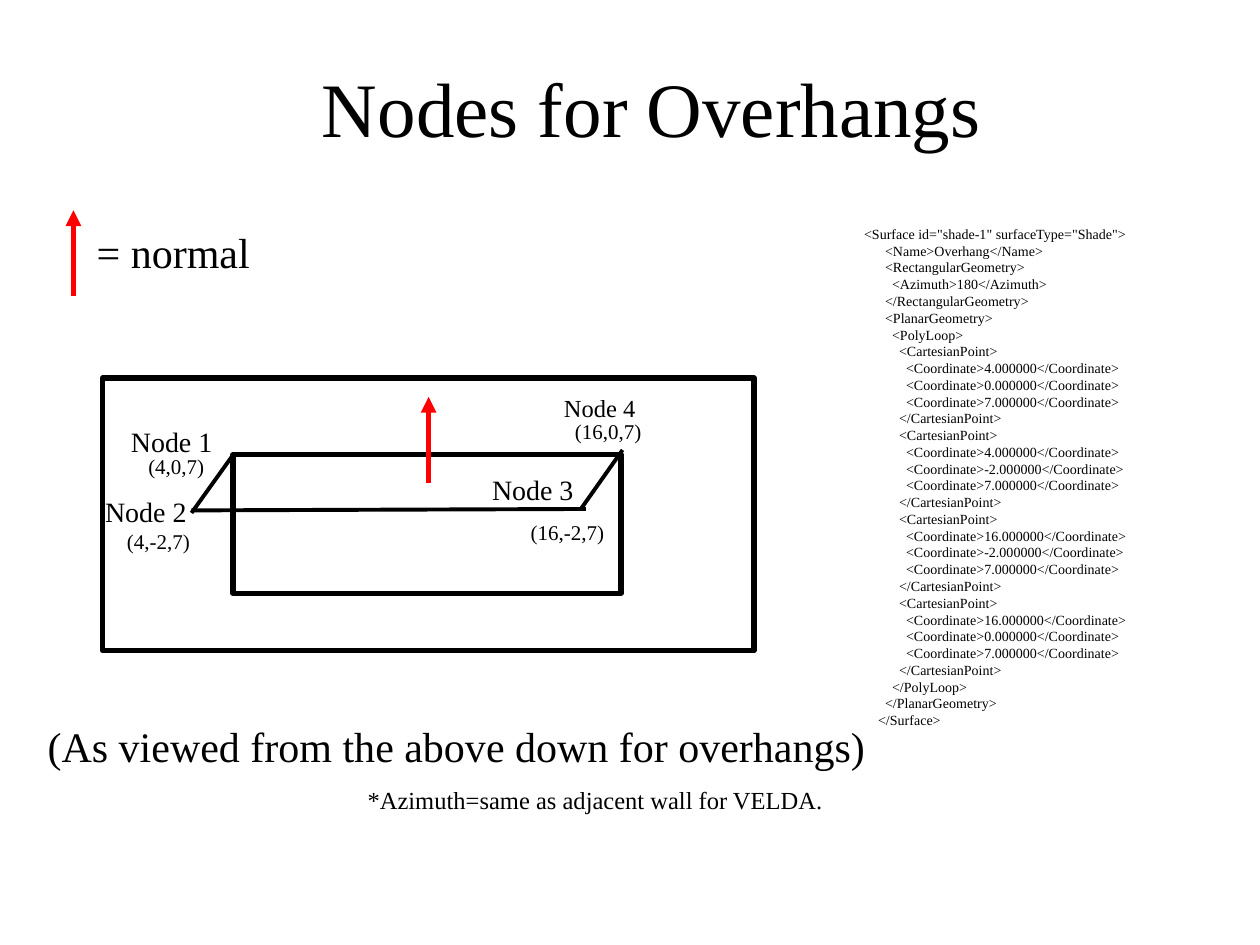
"""Build the slide that explains the nodes of an overhang."""
from lxml.etree import SubElement
from pptx import Presentation
from pptx.dml.color import RGBColor
from pptx.enum.shapes import MSO_CONNECTOR, MSO_SHAPE
from pptx.enum.text import MSO_ANCHOR, MSO_AUTO_SIZE, PP_ALIGN
from pptx.oxml.ns import qn
from pptx.util import Cm, Pt

BLACK = RGBColor(0x00, 0x00, 0x00)
RED = RGBColor(0xFF, 0x00, 0x00)
SPACE_WIDTH = 0.25


class SlideBuilder:
    """Holds the style and the current slide."""

    font = "Times New Roman"

    def __init__(self, slide):
        self.slide = slide

    def style(self, paragraph, size):
        """Apply the common font to a paragraph."""
        paragraph.font.name = self.font
        paragraph.font.size = Pt(size)
        paragraph.font.color.rgb = BLACK

    def title(self, text, left, top, width, height):
        """Fill and place the title placeholder."""
        shape = self.slide.shapes.title
        shape.left, shape.top = Cm(left), Cm(top)
        shape.width, shape.height = Cm(width), Cm(height)
        frame = shape.text_frame
        frame.text = text
        frame.word_wrap = True
        frame.auto_size = MSO_AUTO_SIZE.NONE
        frame.vertical_anchor = MSO_ANCHOR.TOP
        frame.margin_top = 0
        frame.paragraphs[0].alignment = PP_ALIGN.CENTER
        self.style(frame.paragraphs[0], 44)

    def text(self, lines, left, top, width, height, size, space_before=0):
        """Add a text box from pairs of indent and text."""
        box = self.slide.shapes.add_textbox(Cm(left), Cm(top), Cm(width), Cm(height))
        frame = box.text_frame
        frame.word_wrap = True
        frame.auto_size = MSO_AUTO_SIZE.SHAPE_TO_FIT_TEXT
        for index, (indent, line) in enumerate(lines):
            paragraph = frame.add_paragraph() if index else frame.paragraphs[0]
            paragraph.text = line
            paragraph.space_before = Pt(space_before)
            self.style(paragraph, size)
            if indent:
                margin = Pt(indent * SPACE_WIDTH * size)
                properties = paragraph._p.get_or_add_pPr()
                properties.set("marL", str(int(margin)))
                properties.set("indent", "0")

    def label(self, text, left, top, width, height, size):
        """Add a one-line label with space before it in proportion to its size."""
        self.text([(0, text)], left, top, width, height, size, size * 0.625)

    def rectangle(self, left, top, width, height):
        """Add an outlined rectangle without a fill."""
        shape = self.slide.shapes.add_shape(
            MSO_SHAPE.RECTANGLE, Cm(left), Cm(top), Cm(width), Cm(height))
        shape.shadow.inherit = False
        shape.fill.background()
        shape.line.color.rgb = BLACK
        shape.line.width = Pt(3)

    def line(self, start, end, color=BLACK, width=2.25):
        """Add a straight line and return it."""
        connector = self.slide.shapes.add_connector(
            MSO_CONNECTOR.STRAIGHT, *map(Cm, start + end))
        connector.line.color.rgb = color
        connector.line.width = Pt(width)
        SubElement(connector._element.spPr, qn("a:effectLst"))
        return connector

    def normal_arrow(self, x, bottom):
        """Add a red arrow that points upward."""
        arrow = self.line((x, bottom), (x, bottom - 1.73), RED, 3)
        outline = arrow.line._get_or_add_ln()
        SubElement(outline, qn("a:tailEnd"), type="triangle")


def surface_lines(points):
    """Return the indented XML lines of the overhang surface."""
    lines = [
        (0, '<Surface id="shade-1" surfaceType="Shade">'),
        (6, "<Name>Overhang</Name>"),
        (6, "<RectangularGeometry>"),
        (8, "<Azimuth>180</Azimuth>"),
        (6, "</RectangularGeometry>"),
        (6, "<PlanarGeometry>"),
        (8, "<PolyLoop>"),
    ]
    for point in points:
        lines.append((10, "<CartesianPoint>"))
        lines += [(12, f"<Coordinate>{value:.6f}</Coordinate>") for value in point]
        lines.append((10, "</CartesianPoint>"))
    return lines + [(8, "</PolyLoop>"), (6, "</PlanarGeometry>"), (4, "</Surface>")]


presentation = Presentation()
presentation.slide_width, presentation.slide_height = Cm(25.4), Cm(19.05)
slide = presentation.slides.add_slide(presentation.slide_layouts[5])
builder = SlideBuilder(slide)
builder.title("Nodes for Overhangs", -1.47, 1.21, 29.21, 3.18)

builder.rectangle(2.07, 7.62, 13.13, 5.5)
builder.rectangle(4.7, 9.17, 7.82, 2.79)

nodes = [
    ((4, 0, 7), (2.39, 8.43, 3.18, 0.94, 16), (2.74, 9.02)),
    ((4, -2, 7), (1.87, 9.84, 5.28, 0.94, 16), (2.31, 10.54)),
    ((16, -2, 7), (9.67, 9.4, 5.28, 0.94, 16), (10.45, 10.34)),
    ((16, 0, 7), (11.12, 7.8, 5.28, 0.86, 14), (11.34, 8.31)),
]
for number, (point, name_place, point_place) in enumerate(nodes, 1):
    builder.label(f"Node {number}", *name_place)
    coordinates = ",".join(map(str, point))
    builder.label(f"({coordinates})", *point_place, 3.18, 0.76, 12)

for start, end in [
    ((4.72, 9.14), (3.86, 10.34)),
    ((12.55, 9.07), (11.71, 10.26)),
    ((11.81, 10.26), (3.86, 10.29)),
]:
    builder.line(start, end)

builder.normal_arrow(8.64, 9.73)
builder.normal_arrow(1.48, 5.97)
builder.text([(0, "= normal")], 1.7, 4.45, 4.01, 1.27, 24)
builder.text([(0, "(As viewed from the above down for overhangs)")],
             0.71, 14.4, 24.56, 1.27, 24)
builder.text(surface_lines([point for point, *_ in nodes]),
             17.17, 4.42, 6.55, 10.39, 8)
builder.text([(0, "*Azimuth=same as adjacent wall for VELDA.")],
             7.16, 15.71, 13.54, 0.86, 14)

presentation.save("out.pptx")
